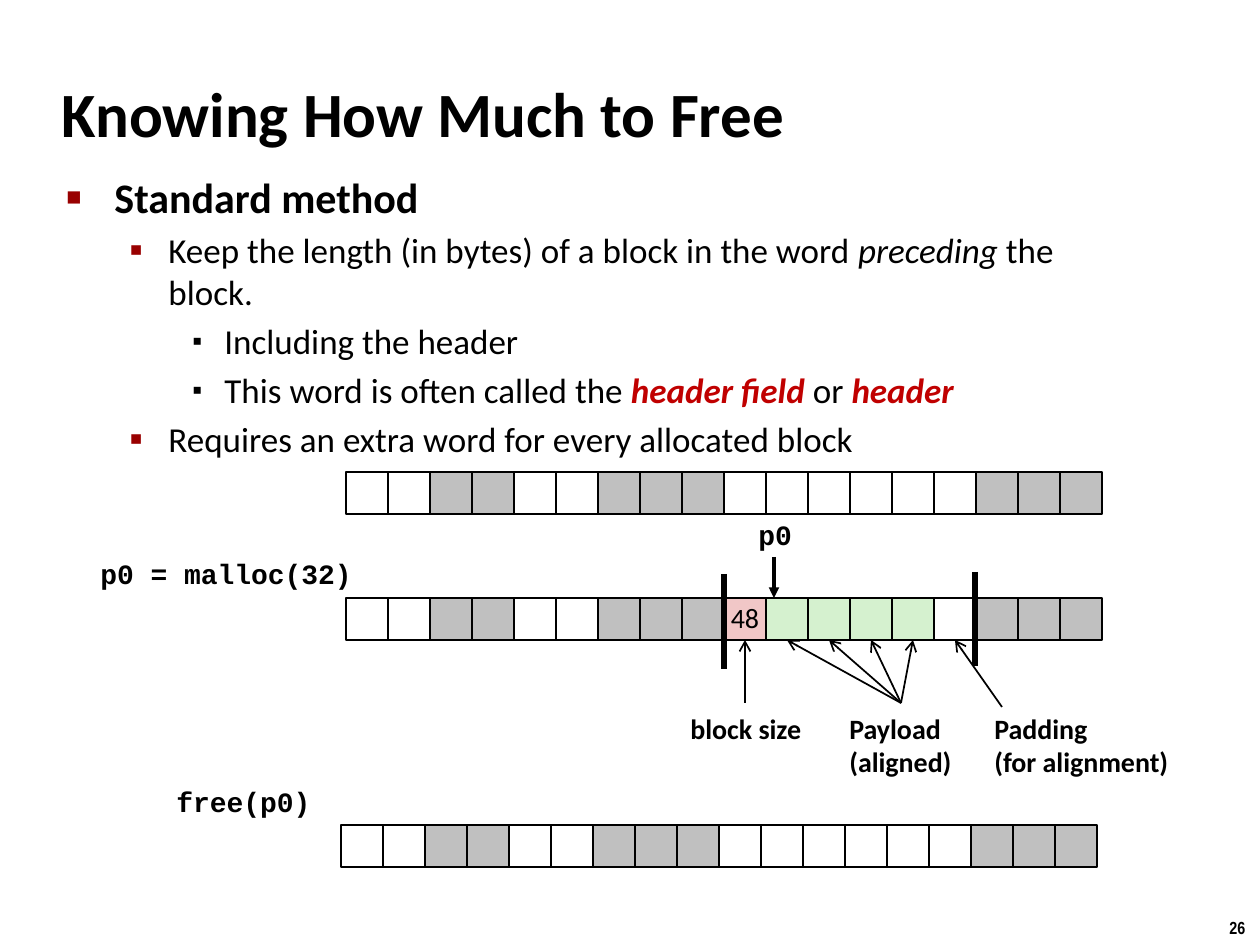
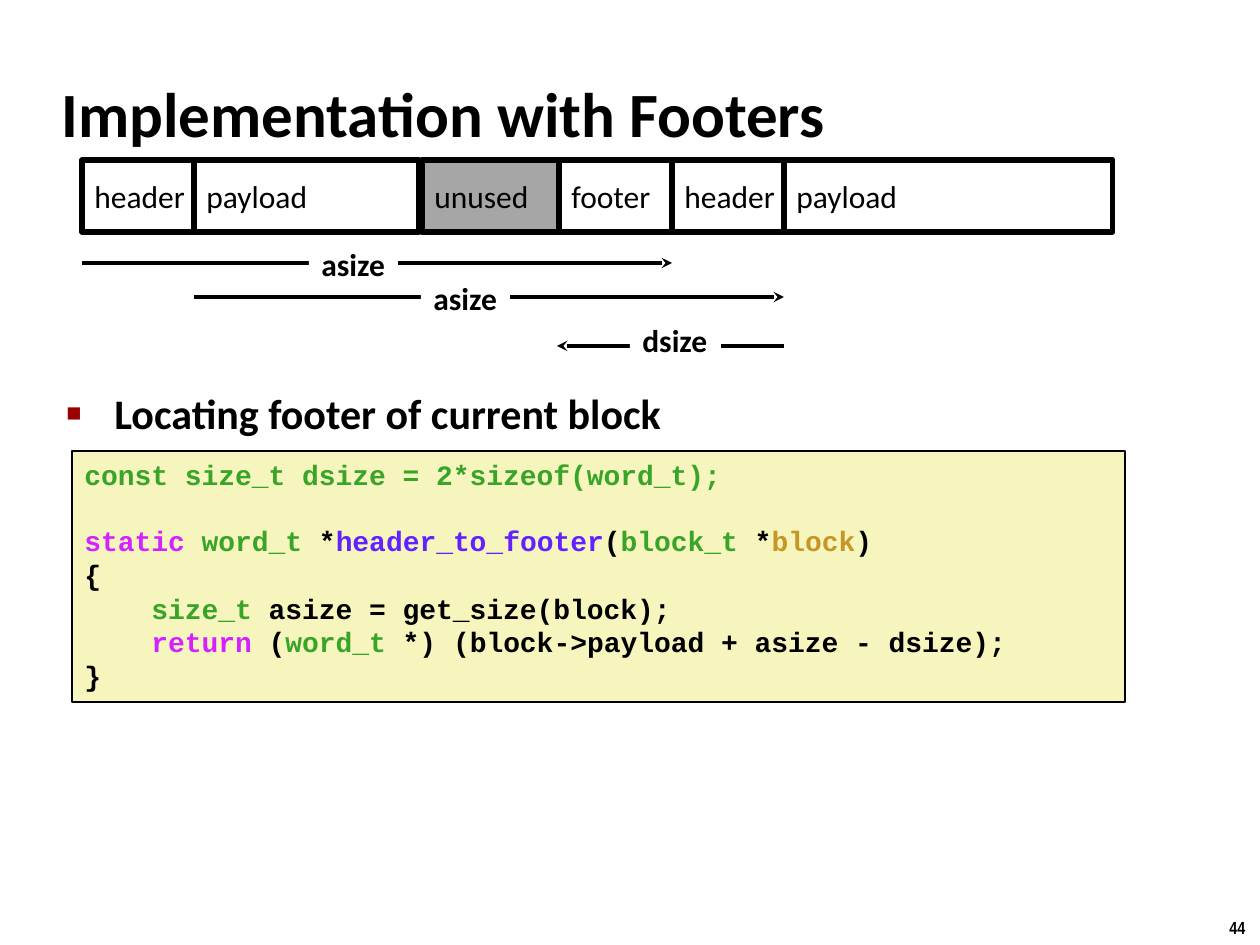
from dataclasses import dataclass, replace

from lxml.etree import SubElement
from pptx import Presentation
from pptx.dml.color import RGBColor
from pptx.enum.shapes import MSO_CONNECTOR as Connector, MSO_SHAPE as Shape
from pptx.enum.text import MSO_ANCHOR as Anchor, MSO_AUTO_SIZE as AutoSize, PP_ALIGN as Align
from pptx.oxml.ns import qn
from pptx.util import Inches, Pt

PX = 914400 / 126  # EMU in one px


@dataclass(frozen=True)
class TextStyle:
    size: int
    font: str = "Calibri"
    color: str = "000000"
    bold: bool = False
    italic: bool = False


@dataclass(frozen=True)
class Theme:
    black: str = "000000"
    white: str = "FFFFFF"
    bullet: str = "990000"
    emphasis: str = "C00000"
    allocated: str = "C0C0C0"
    unused: str = "A6A6A6"
    header: str = "F1C7C7"
    payload: str = "D5F1CF"
    code_fill: str = "F6F5BD"
    type_name: str = "39A428"
    keyword: str = "D422FF"
    function: str = "6122FF"
    parameter: str = "C79725"
    title: TextStyle = TextStyle(36, bold=True)
    topic: TextStyle = TextStyle(24, bold=True)
    body: TextStyle = TextStyle(20)
    field: TextStyle = TextStyle(18)
    span: TextStyle = TextStyle(18, bold=True)
    word: TextStyle = TextStyle(16)
    label: TextStyle = TextStyle(16, bold=True)
    code: TextStyle = TextStyle(16, "Courier New", bold=True)
    number: TextStyle = TextStyle(10, "Arial Narrow", bold=True)


THEME = Theme()

# Bullet levels: left and hanging indent in px, sign, size in percent, colour, text style
LEVELS = [
    (48, 48, "■", 60, THEME.bullet, THEME.topic),
    (102, 39, "▪", 110, THEME.bullet, THEME.body),
    (158, 32, "▪", 80, THEME.black, THEME.body),
]

# Memory words: one letter each
CELL = 42
WORD_FILLS = {"f": THEME.white, "a": THEME.allocated, "h": THEME.header, "p": THEME.payload}
FREE_ROW = "ffaaffaaaffffffaaa"
MALLOC_ROW = "ffaaffaaahppppfaaa"


def px(*lengths):
    return [round(length * PX) for length in lengths]


def rgb(color):
    return RGBColor.from_string(color)


# Text

def write(paragraph, runs, style):
    """Each run is a text, or a text with the style fields that differ."""
    for item in runs:
        text, changes = (item, {}) if isinstance(item, str) else item
        look = replace(style, **changes)
        run = paragraph.add_run()
        run.text = text
        font = run.font
        font.name, font.size = look.font, Pt(look.size)
        font.bold, font.italic = look.bold, look.italic
        font.color.rgb = rgb(look.color)


def write_lines(frame, lines, style, spacing=None, align=Align.LEFT):
    for index, runs in enumerate(lines):
        paragraph = frame.add_paragraph() if index else frame.paragraphs[0]
        paragraph.alignment = align
        if spacing:
            paragraph.line_spacing = spacing
        write(paragraph, runs, style)


def add_label(slide, box, lines, style, spacing=None):
    shape = slide.shapes.add_textbox(*px(*box))
    shape.text_frame.word_wrap = False
    write_lines(shape.text_frame, [[line] for line in lines], style, spacing)


def set_bullet(paragraph, left, hanging, sign, percent, color):
    properties = paragraph._p.get_or_add_pPr()
    properties.set("marL", str(px(left)[0]))
    properties.set("indent", str(-px(hanging)[0]))
    color_element = SubElement(properties, qn("a:buClr"))
    SubElement(color_element, qn("a:srgbClr"), val=color)
    SubElement(properties, qn("a:buSzPct"), val=str(percent * 1000))
    SubElement(properties, qn("a:buFont"), typeface="Arial")
    SubElement(properties, qn("a:buChar"), char=sign)


def add_bullets(slide, box, items):
    frame = slide.shapes.add_textbox(*px(*box)).text_frame
    frame.word_wrap = True
    for index, (level, *runs) in enumerate(items):
        paragraph = frame.add_paragraph() if index else frame.paragraphs[0]
        *bullet, style = LEVELS[level]
        set_bullet(paragraph, *bullet)
        if index:
            paragraph.space_before = Pt(style.size * 0.2)
        write(paragraph, runs, style)


# Shapes and lines

def add_box(slide, box, fill=None, line=None, anchor=Anchor.MIDDLE, wrap=False):
    shape = slide.shapes.add_shape(Shape.RECTANGLE, *px(*box))
    shape.shadow.inherit = False
    if fill:
        shape.fill.solid()
        shape.fill.fore_color.rgb = rgb(fill)
    else:
        shape.fill.background()
    if line:
        shape.line.color.rgb = rgb(THEME.black)
        shape.line.width = Pt(line)
    else:
        shape.line.fill.background()
    shape.text_frame.vertical_anchor = anchor
    shape.text_frame.word_wrap = wrap
    return shape


def add_line(slide, start, end, width, arrow=None):
    connector = slide.shapes.add_connector(Connector.STRAIGHT, *px(*start, *end))
    connector.line.color.rgb = rgb(THEME.black)
    connector.line.width = Pt(width)
    if arrow:
        SubElement(connector.line._get_or_add_ln(), qn("a:tailEnd"), type=arrow)
    SubElement(connector._element.spPr, qn("a:effectLst"))
    return connector


def add_word_row(slide, left, top, words):
    return [add_box(slide, (left + index * CELL, top, CELL, CELL), WORD_FILLS[word], 1)
            for index, word in enumerate(words)]


def point_at_cell(slide, start, cell):
    end = ((cell.left + cell.width / 2) / PX, (cell.top + cell.height) / PX)
    add_line(slide, start, end, 1, "arrow").end_connect(cell, 2)


def add_span(slide, start, end, label_box, text):
    add_line(slide, start, end, 2, "stealth")
    label = add_box(slide, label_box, THEME.white, anchor=Anchor.TOP)
    write_lines(label.text_frame, [[text]], THEME.span)


# Shared slide frame

def add_slide(presentation, title_text, number):
    slide = presentation.slides.add_slide(presentation.slide_layouts[5])
    title = slide.shapes.title
    title.left, title.top, title.width, title.height = px(49, 60, 1046, 105)
    frame = title.text_frame
    frame.auto_size = AutoSize.NONE
    frame.vertical_anchor = Anchor.MIDDLE
    write_lines(frame, [[title_text]], THEME.title)
    add_label(slide, (1217, 911, 43, 34), [number], THEME.number)
    return slide


def build_free_slide(presentation):
    slide = add_slide(presentation, "Knowing How Much to Free", "26")
    strong = {"color": THEME.emphasis, "bold": True, "italic": True}
    add_bullets(slide, (54, 165, 1089, 300), [
        (0, "Standard method"),
        (1, "Keep the length (in bytes) of a block in the word ",
         ("preceding", {"italic": True}), " the block."),
        (2, "Including the header"),
        (2, "This word is often called the ", ("header field ", strong), "or ",
         ("header", strong)),
        (1, "Requires an extra word for every allocated block"),
    ])

    # Memory before, during and after the allocation
    add_word_row(slide, 346, 472, FREE_ROW)
    cells = add_word_row(slide, 346, 598, MALLOC_ROW)
    add_word_row(slide, 341, 825, FREE_ROW)
    header, *payload, padding = cells[9:15]
    write_lines(header.text_frame, [["48"]], THEME.word, 0.98, Align.CENTER)

    # Calls and pointer
    for box, text in [
        ((88, 553, 280, 45), "p0 = malloc(32)"),
        ((746, 514, 59, 44), "p0"),
        ((164, 781, 161, 45), "free(p0)"),
    ]:
        add_label(slide, box, [text], THEME.code, 0.94)
    add_line(slide, (774, 557), (774, 598), 2, "triangle")

    # Block limits
    for x, top, bottom in [(724, 574, 669), (975, 572, 666)]:
        add_line(slide, (x, top), (x, bottom), 3)

    # Parts of the block
    point_at_cell(slide, (745, 703), header)
    for cell in payload:
        point_at_cell(slide, (901, 703), cell)
    point_at_cell(slide, (1002, 707), padding)
    for left, width, height, lines in [
        (678, 137, 47, ["block size"]),
        (837, 129, 79, ["Payload", "(aligned)"]),
        (982, 202, 79, ["Padding", "(for alignment)"]),
    ]:
        add_label(slide, (left, 707, width, height), lines, THEME.label, 0.98)


def build_footer_slide(presentation):
    slide = add_slide(presentation, "Implementation with Footers", "44")
    add_bullets(slide, (54, 381, 1089, 64), [(0, "Locating footer of current block")])

    # Code
    type_name, keyword, function, parameter = (
        {"color": color}
        for color in (THEME.type_name, THEME.keyword, THEME.function, THEME.parameter))
    code = add_box(slide, (72, 451, 1053, 251), THEME.code_fill, 1, Anchor.TOP, wrap=True)
    write_lines(code.text_frame, [
        [("const size_t dsize = 2*sizeof(word_t);", type_name)],
        [("static ", keyword), ("word_t", type_name), " *", ("header_to_footer", function),
         "(", ("block_t", type_name), " *", ("block", parameter), ")"],
        ["{"],
        ["    ", ("size_t ", type_name), "asize = get_size(block);"],
        ["    ", ("return", keyword), " (", ("word_t", type_name),
         " *) (block->payload + asize - dsize);"],
        ["}"],
    ], THEME.code)
    code.text_frame.paragraphs[1].space_before = Pt(19)

    # Block layout
    for text, left, width, fill in [
        ("header", 82, 112, None),
        ("payload", 194, 225, None),
        ("header", 672, 112, None),
        ("payload", 784, 329, None),
        ("unused", 422, 137, THEME.unused),
        ("footer", 559, 113, None),
    ]:
        field = add_box(slide, (left, 160, width, 72), fill, 3)
        write_lines(field.text_frame, [[text]], THEME.field)

    # Distances
    add_span(slide, (194, 297), (784, 297), (421, 273, 89, 50), "asize")
    add_span(slide, (784, 346), (557, 346), (630, 315, 91, 50), "dsize")
    add_span(slide, (82, 263), (672, 263), (309, 239, 89, 50), "asize")


def main():
    presentation = Presentation()
    presentation.slide_width, presentation.slide_height = Inches(10), Inches(7.5)
    build_free_slide(presentation)
    build_footer_slide(presentation)
    presentation.save("out.pptx")


if __name__ == "__main__":
    main()
